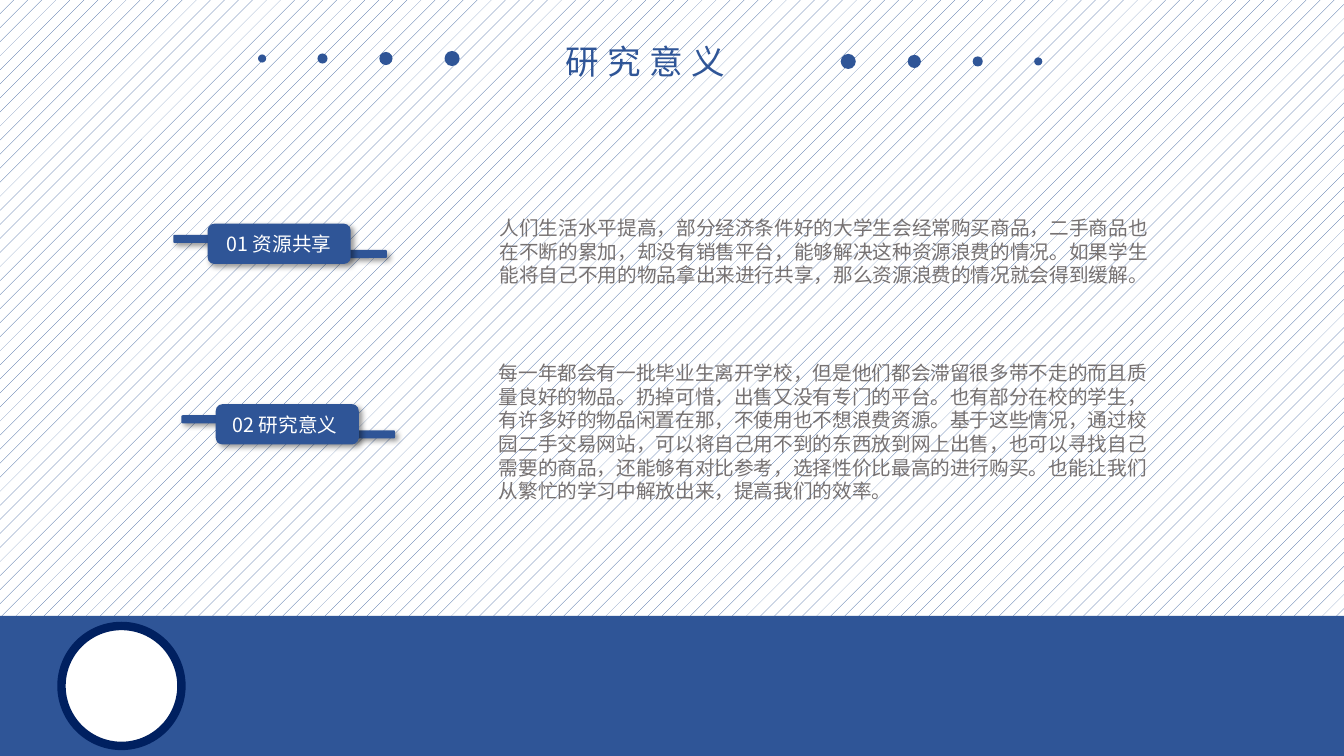
from lxml import etree
from pptx import Presentation
from pptx.dml.color import RGBColor
from pptx.enum.dml import MSO_PATTERN
from pptx.enum.shapes import MSO_SHAPE
from pptx.enum.text import MSO_ANCHOR, MSO_AUTO_SIZE, PP_ALIGN
from pptx.oxml import parse_xml
from pptx.oxml.ns import qn
from pptx.util import Pt

OVAL, RECT, ROUND = MSO_SHAPE.OVAL, MSO_SHAPE.RECTANGLE, MSO_SHAPE.ROUNDED_RECTANGLE
HATCH = MSO_PATTERN.PERCENT_5
MIDDLE, CENTER = MSO_ANCHOR.MIDDLE, PP_ALIGN.CENTER
GROW = MSO_AUTO_SIZE.SHAPE_TO_FIT_TEXT

COLORS = {"blue": "2F5597", "navy": "002060", "white": "FFFFFF", "gray": "767171"}
SHADOW = (
    '<a:effectLst xmlns:a="http://schemas.openxmlformats.org/drawingml/2006/main">'
    '<a:outerShdw blurRad="50800" dist="38100" dir="2700000" algn="tl" rotWithShape="0">'
    '<a:srgbClr val="000000"><a:alpha val="40000"/></a:srgbClr>'
    '</a:outerShdw></a:effectLst>'
)

DOTS = [(0, 5.8), (43.2, 7.2), (88.5, 9.4), (135.7, 10.8)]
TAGS = [("01 资源共享", 123.8, 159.8), ("02 研究意义 ", 129.6, 288.7)]
PARAGRAPHS = [
    ("人们生活水平提高，部分经济条件好的大学生会经常购买商品，二手商品也在不断的累加，"
     "却没有销售平台，能够解决这种资源浪费的情况。如果学生能将自己不用的物品拿出来进行共享，"
     "那么资源浪费的情况就会得到缓解。", 349.9, 150.5, 58.3),
    ("每一年都会有一批毕业生离开学校，但是他们都会滞留很多带不走的而且质量良好的物品。"
     "扔掉可惜，出售又没有专门的平台。也有部分在校的学生，有许多好的物品闲置在那，"
     "不使用也不想浪费资源。基于这些情况，通过校园二手交易网站，可以将自己用不到的东西放到网上出售，"
     "也可以寻找自己需要的商品，还能够有对比参考，选择性价比最高的进行购买。"
     "也能让我们从繁忙的学习中解放出来，提高我们的效率。", 349.2, 254.2, 108.7),
]


def rgb(name):
    return RGBColor.from_string(COLORS[name])


def write(tf, text, size=14, color="gray", font="Noto Sans CJK SC",
          align=None, leading=None, spacing=None):
    p = tf.paragraphs[0]
    p.alignment = align
    if leading:
        p.line_spacing = Pt(leading)
    r = p.add_run()
    r.text = text
    r.font.size = Pt(size)
    r.font.color.rgb = rgb(color)
    r.font.name = font
    rPr = r.font._element
    etree.SubElement(rPr, qn("a:ea")).set("typeface", font)
    if spacing:
        rPr.set("spc", str(spacing * 100))


class Deck:
    def __init__(self, width, height):
        self.prs = Presentation()
        self.prs.slide_width, self.prs.slide_height = Pt(width), Pt(height)
        self.s = self.prs.slides.add_slide(self.prs.slide_layouts[6])

    def background(self):
        fill = self.s.background.fill
        fill.patterned()
        fill.pattern = HATCH
        fill.fore_color.rgb = rgb("blue")
        fill.back_color.rgb = rgb("white")

    def group(self):
        return self.s.shapes.add_group_shape()

    def shape(self, kind, x, y, w, h, fill="blue", line=None, shadow=False, parent=None):
        sp = (parent or self.s).shapes.add_shape(kind, Pt(x), Pt(y), Pt(w), Pt(h))
        sp.fill.solid()
        sp.fill.fore_color.rgb = rgb(fill)
        if line:
            sp.line.color.rgb = rgb(line)
            sp.line.width = Pt(6)
        else:
            sp.line.fill.background()
        if shadow:
            sp._element.spPr.append(parse_xml(SHADOW))
        else:
            sp.shadow.inherit = False
        return sp

    def text(self, text, x, y, w, h, wrap=True, **style):
        tf = self.s.shapes.add_textbox(Pt(x), Pt(y), Pt(w), Pt(h)).text_frame
        tf.word_wrap = wrap
        tf.auto_size = GROW
        write(tf, text, **style)

    def dots(self, x, y, direction):
        g = self.group()
        for offset, d in DOTS:
            self.shape(OVAL, x + direction * offset - d / 2, y - d / 2, d, d, parent=g)

    def tag(self, text, x, y):
        g = self.group()
        for dx, dy in ((90, 18.7), (0, 7.9)):
            self.shape(ROUND, x + dx, y + dy, 62.6, 5.8, shadow=True, parent=g)
        sp = self.shape(ROUND, x + 24.5, y, 102.2, 28.8, shadow=True, parent=g)
        sp.text_frame.vertical_anchor = MIDDLE
        write(sp.text_frame, text, color="white", align=CENTER)


def main():
    deck = Deck(960, 540)
    deck.background()
    deck.dots(187.2, 41.8, 1)
    deck.dots(741.6, 43.9, -1)
    deck.text("研究意义", 396.7, 25.9, 135.4, 36, wrap=False, size=24, color="blue",
              font="Noto Sans CJK JP", leading=28.8, spacing=6)
    deck.shape(RECT, 0, 440, 960, 100)
    deck.shape(OVAL, 43.9, 447.1, 85.7, 85.7, fill="white", line="navy")
    for text, x, y in TAGS:
        deck.tag(text, x, y)
    for text, x, y, h in PARAGRAPHS:
        deck.text(text, x, y, 480.2, h, leading=16.9)
    deck.prs.save("out.pptx")


if __name__ == "__main__":
    main()
